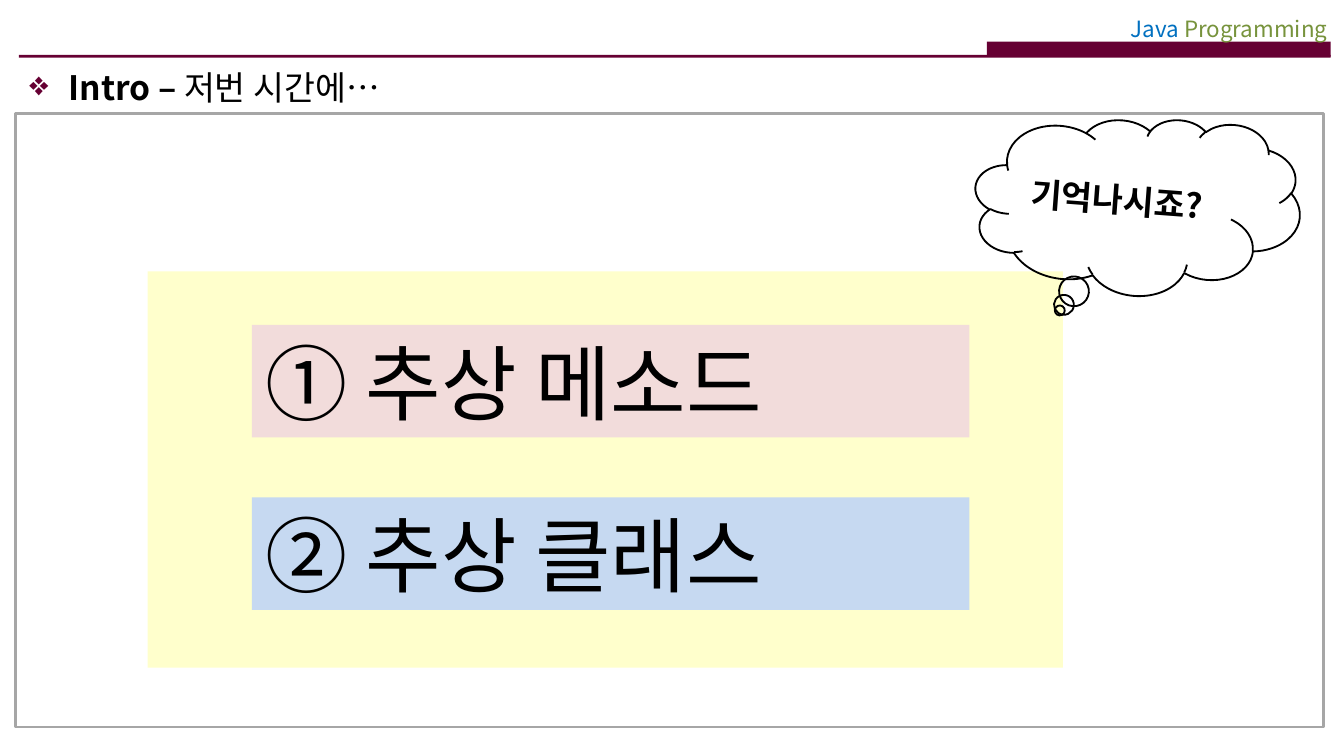
import pptx
import pptx.dml.color
import pptx.enum.shapes
import pptx.enum.text
import pptx.oxml.ns
import pptx.util
from lxml import etree

Cm = pptx.util.Cm
Pt = pptx.util.Pt
SHAPE = pptx.enum.shapes.MSO_SHAPE
ALIGN = pptx.enum.text.PP_ALIGN
ANCHOR = pptx.enum.text.MSO_ANCHOR
FONT = "Noto Sans CJK KR"
MAROON = "660033"


def color(value):
    return pptx.dml.color.RGBColor.from_string(value)


def add_element(parent, tag, **attributes):
    return etree.SubElement(parent, pptx.oxml.ns.qn(tag), attributes)


def assign(target, values):
    for name, value in values.items():
        setattr(target, name, value)


def write(shape, spans, align=ALIGN.LEFT, anchor=ANCHOR.TOP):
    assign(shape.text_frame, {
        "word_wrap": True,
        "auto_size": pptx.enum.text.MSO_AUTO_SIZE.NONE,
        "vertical_anchor": anchor,
    })
    para = shape.text_frame.paragraphs[0]
    assign(para, {"alignment": align, "space_before": Pt(0)})
    for text, size, hue, bold in spans:
        span = para.add_run()
        span.text = text
        assign(span.font, {"name": FONT, "size": Pt(size), "bold": bold})
        span.font.color.rgb = color(hue)
        add_element(span.font._element, "a:ea", typeface=FONT)
    return para


def add_box(page, kind, box, fill=None, line=None, width=1):
    shape = page.shapes.add_shape(kind, *map(Cm, box))
    shape.shadow.inherit = False
    if fill:
        shape.fill.solid()
        shape.fill.fore_color.rgb = color(fill)
    else:
        shape.fill.background()
    if line:
        shape.line.color.rgb = color(line)
        shape.line.width = Pt(width)
    else:
        shape.line.fill.background()
    return shape


def add_header(page, box):
    left, top, width, height = box
    tab_width = 6.5
    right = left + width
    add_box(page, SHAPE.RECTANGLE, (right - tab_width, top + 0.64, tab_width, 0.28), MAROON)
    add_box(page, SHAPE.RECTANGLE, (left, top + height - 0.05, width, 0.05), MAROON)
    label = page.shapes.add_textbox(Cm(right - 5.01), Cm(top + 0.01), Cm(5.2), Cm(0.76))
    write(label, [("Java ", 12, "0070C0", False), ("Programming", 12, "77933C", False)], ALIGN.RIGHT)


def add_heading(page, box):
    page.shapes.title.element.getparent().remove(page.shapes.title.element)
    body = page.placeholders[1]
    assign(body, dict(zip(("left", "top", "width", "height"), map(Cm, box))))
    para = write(body, [("Intro – ", 18, "000000", True), ("저번 시간에…", 18, "000000", False)])
    properties = para._p.get_or_add_pPr()
    properties.set("marL", str(Cm(0.74)))
    properties.set("indent", str(-Cm(0.74)))
    bullet_color = add_element(properties, "a:buClr")
    add_element(bullet_color, "a:srgbClr", val=MAROON)
    add_element(properties, "a:buFont", typeface="OpenSymbol")
    add_element(properties, "a:buChar", char="❖")


def add_topics(page, box):
    left, top, width, height = box
    add_box(page, SHAPE.RECTANGLE, box, "FFFFCC")
    topics = [("① 추상 메소드", "F2DCDB"), ("② 추상 클래스", "C6D9F1")]
    for index, (topic, fill) in enumerate(topics):
        card_box = (left + 1.97, top + 1.01 + index * 3.26, 13.56, 2.13)
        card = add_box(page, SHAPE.RECTANGLE, card_box, fill)
        write(card, [(topic, 44, "000000", False)], anchor=ANCHOR.MIDDLE)


def add_thought(page, box):
    left, top, width, height = box
    label = page.shapes.add_textbox(Cm(left + 0.81), Cm(top + 1.09), Cm(4.47), Cm(1.02))
    label.rotation = 4.3
    write(label, [("기억나시죠?", 18, "000000", True)])
    cloud = add_box(page, SHAPE.CLOUD_CALLOUT, box, line="000000")
    cloud.rotation = 4.9
    cloud.adjustments[0] = -0.21
    cloud.adjustments[1] = 0.62


def main():
    deck = pptx.Presentation()
    page_width = Cm(25.4)
    assign(deck, {"slide_width": page_width, "slide_height": page_width * 9 // 16})
    page = deck.slides.add_slide(deck.slide_layouts[1])
    add_heading(page, (0.3, 1.14, 24.77, 12.14))
    add_header(page, (0.36, 0.15, 24.79, 0.94))
    frame = add_box(page, SHAPE.ROUNDED_RECTANGLE, (0.3, 2.14, 24.71, 11.6), line="A6A6A6", width=1.5)
    frame.adjustments[0] = 0
    add_topics(page, (2.79, 5.13, 17.3, 7.49))
    add_thought(page, (18.42, 2.2, 6.15, 3.38))
    deck.save("out.pptx")


if __name__ == "__main__":
    main()
